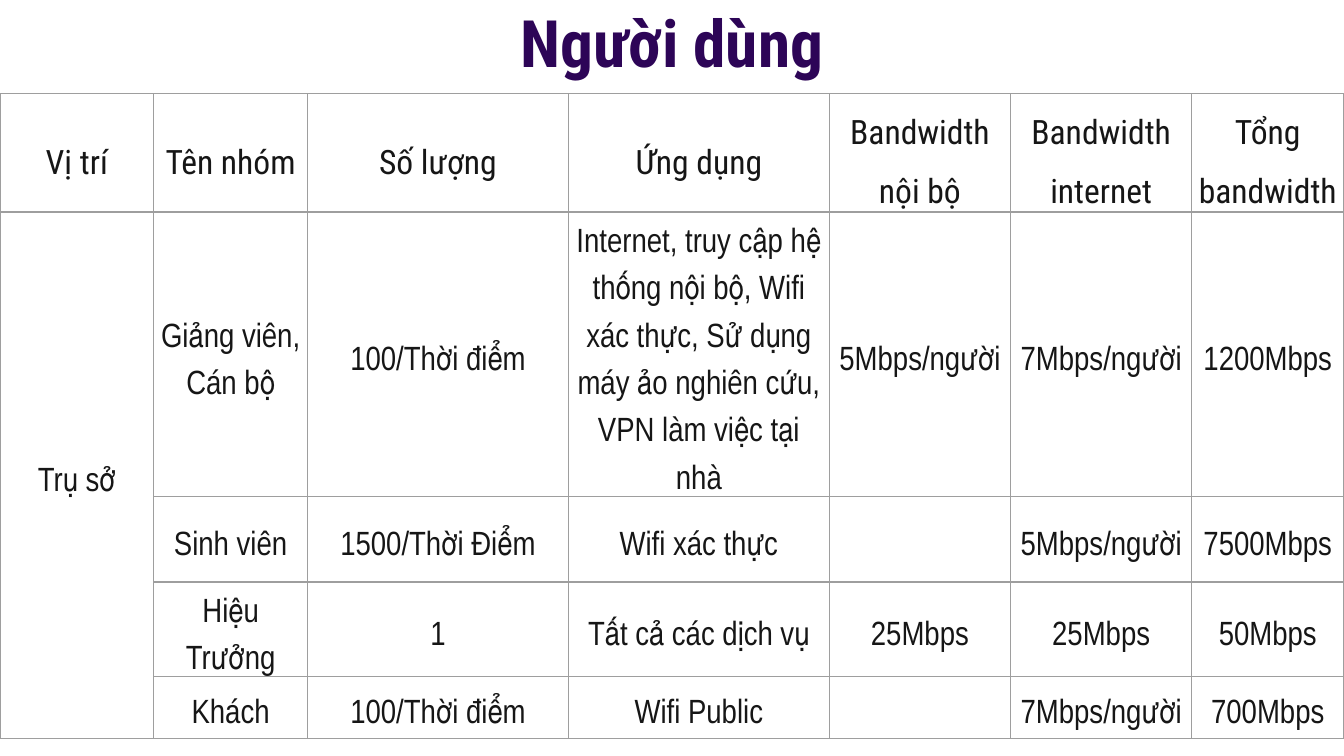
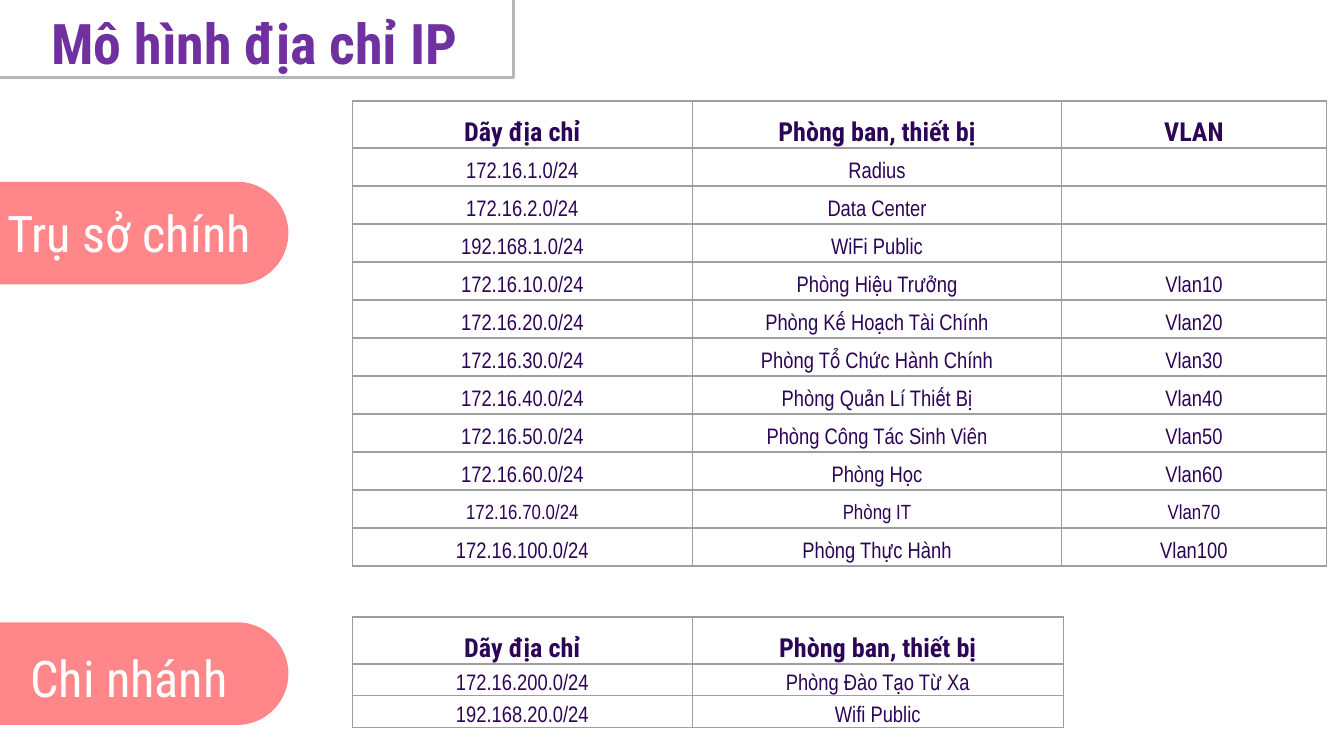
"""Build two slides: user groups with bandwidth, and the IP address plan."""
from pptx import Presentation
from pptx.dml.color import RGBColor
from pptx.enum.shapes import MSO_CONNECTOR, MSO_SHAPE
from pptx.enum.text import MSO_ANCHOR, MSO_AUTO_SIZE, PP_ALIGN
from pptx.oxml.xmlchemy import OxmlElement
from pptx.util import Pt

COLORS = {
    "ink": "161616",
    "navy": "2D0557",
    "purple": "7030A0",
    "coral": "FF878A",
    "white": "FFFFFF",
    "border": "9E9E9E",
    "rule": "B7B7B7",
}
HEAD, BODY = "Roboto Condensed", "Arial Narrow"


def put(tf, text, size=18, font=HEAD, color="ink", bold=False, spacing=1.0,
        anchor=MSO_ANCHOR.MIDDLE, inset=None):
    """Write one centred, formatted paragraph into a text frame."""
    tf.word_wrap = True
    tf.vertical_anchor = anchor
    if inset is not None:
        tf.auto_size = MSO_AUTO_SIZE.NONE
        tf.margin_left = tf.margin_right = tf.margin_top = tf.margin_bottom = Pt(inset)
    p = tf.paragraphs[0]
    p.alignment = PP_ALIGN.CENTER
    p.line_spacing = spacing
    p.space_before = Pt(0)
    if not text:
        p._p.get_or_add_endParaRPr().set("sz", str(size * 100))
        return
    r = p.add_run()
    r.text = text
    r.font.size, r.font.name, r.font.bold = Pt(size), font, bold
    r.font.color.rgb = RGBColor.from_string(COLORS[color])


def add_grid(s, left, top, widths, heights, rows, margin, head, body, sizes={}):
    """Add a bordered table; head and body are formats, sizes are row exceptions."""
    tbl = s.shapes.add_table(len(rows), len(widths), Pt(left), Pt(top),
                             Pt(sum(widths)), Pt(sum(heights))).table
    tbl.first_row = tbl.horz_banding = False
    for col, w in zip(tbl.columns, widths):
        col.width = Pt(w)
    for i, (row, h) in enumerate(zip(rows, heights)):
        tbl.rows[i].height = Pt(h)
        fmt = dict(body if i else head)
        fmt["size"] = sizes.get(i, fmt["size"])
        for j, text in enumerate(row):
            cell = tbl.cell(i, j)
            cell.margin_left = cell.margin_right = Pt(margin)
            cell.margin_top = cell.margin_bottom = Pt(0)
            cell.vertical_anchor = MSO_ANCHOR.MIDDLE
            cell.fill.background()
            put(cell.text_frame, text, spacing=1.5, **fmt)
            tcPr = cell._tc.get_or_add_tcPr()
            for k, side in enumerate(("a:lnL", "a:lnR", "a:lnT", "a:lnB")):
                ln, fill, clr = (OxmlElement(t) for t in (side, "a:solidFill", "a:srgbClr"))
                ln.set("w", str(Pt(0.75)))
                clr.set("val", COLORS["border"])
                fill.append(clr)
                ln.append(fill)
                tcPr.insert(k, ln)
    return tbl


prs = Presentation()
prs.slide_width, prs.slide_height = Pt(720), Pt(405)
titles = [
    ("Người dùng", 0, 12.24, 720, 38.16, 35, "navy", MSO_ANCHOR.BOTTOM),
    ("Mô hình địa chỉ IP", -86.4, -9.36, 445.68, 63.36, 30, "purple", MSO_ANCHOR.MIDDLE),
]
slides = []
for text, x, y, w, h, size, color, anchor in titles:
    s = prs.slides.add_slide(prs.slide_layouts[5])
    sp = s.shapes.title
    sp.left, sp.top, sp.width, sp.height = Pt(x), Pt(y), Pt(w), Pt(h)
    put(sp.text_frame, text, size=size, color=color, bold=True, anchor=anchor, inset=7.2)
    slides.append(s)
users, plan = slides

user_rows = [
    ["Vị trí", "Tên nhóm", "Số lượng", "Ứng dụng", "Bandwidth nội bộ",
     "Bandwidth internet", "Tổng bandwidth"],
    ["Trụ sở", "Giảng viên, Cán bộ", "100/Thời điểm",
     "Internet, truy cập hệ thống nội bộ, Wifi xác thực, Sử dụng máy ảo nghiên cứu, "
     "VPN làm việc tại nhà", "5Mbps/người", "7Mbps/người", "1200Mbps"],
    ["", "Sinh viên", "1500/Thời Điểm", "Wifi xác thực", "", "5Mbps/người", "7500Mbps"],
    ["", "Hiệu Trưởng", "1", "Tất cả các dịch vụ", "25Mbps", "25Mbps", "50Mbps"],
    ["", "Khách", "100/Thời điểm", "Wifi Public", "", "7Mbps/người", "700Mbps"],
]
tbl = add_grid(users, 0, 50.2, [82.4, 82.4, 139.8, 139.8, 97.1, 97.1, 81.4],
               [63.4, 152.4, 45.8, 50.6, 33], user_rows, 2.7,
               dict(size=18), dict(size=18, font=BODY))
tbl.cell(1, 0).merge(tbl.cell(4, 0))

for label, pill_top, text_top in [("Trụ sở chính", 97.4, 92.9), ("Chi nhánh", 333.4, 331.2)]:
    sp = plan.shapes.add_shape(MSO_SHAPE.ROUNDED_RECTANGLE, Pt(-95.5), Pt(pill_top),
                               Pt(250), Pt(55))
    sp.adjustments[0] = 0.5
    sp.shadow.inherit = False
    sp.fill.solid()
    sp.fill.fore_color.rgb = RGBColor.from_string(COLORS["coral"])
    sp.line.fill.background()
    tb = plan.shapes.add_textbox(Pt(-39.6), Pt(text_top), Pt(217.4), Pt(63.4))
    put(tb.text_frame, label, size=27, color="white", inset=7.2)

ip_head = ["Dãy địa chỉ", "Phòng ban, thiết bị", "VLAN"]
office_rows = [
    ip_head,
    ["172.16.1.0/24", "Radius", ""],
    ["172.16.2.0/24", "Data Center", ""],
    ["192.168.1.0/24", "WiFi Public", ""],
    ["172.16.10.0/24", "Phòng Hiệu Trưởng", "Vlan10"],
    ["172.16.20.0/24", "Phòng Kế Hoạch Tài Chính", "Vlan20"],
    ["172.16.30.0/24", "Phòng Tổ Chức Hành Chính", "Vlan30"],
    ["172.16.40.0/24", "Phòng Quản Lí Thiết Bị", "Vlan40"],
    ["172.16.50.0/24", "Phòng Công Tác Sinh Viên", "Vlan50"],
    ["172.16.60.0/24", "Phòng Học", "Vlan60"],
    ["172.16.70.0/24", "Phòng IT", "Vlan70"],
    ["172.16.100.0/24", "Phòng Thực Hành", "Vlan100"],
]
branch_rows = [
    ip_head[:2],
    ["172.16.200.0/24", "Phòng Đào Tạo Từ Xa"],
    ["192.168.20.0/24", "Wifi Public"],
]
head = dict(size=14, color="navy", bold=True)
body = dict(size=12, font=BODY, color="navy")
add_grid(plan, 188.8, 54.1, [182.1, 197.9, 141.7], [25.2] + [20.36] * 11,
         office_rows, 5.04, head, body, sizes={10: 11})
add_grid(plan, 188.8, 330.5, [182.1, 198.7], [25.2, 17, 17],
         branch_rows, 5.04, head, body)

corner_x, corner_y = 275.2, 41.6
for x, y in [(-34.6, corner_y), (corner_x, -25.2)]:
    ln = plan.shapes.add_connector(MSO_CONNECTOR.STRAIGHT, Pt(x), Pt(y),
                                   Pt(corner_x), Pt(corner_y))
    ln.line.color.rgb = RGBColor.from_string(COLORS["rule"])
    ln.line.width = Pt(1.5)
    ln._element.spPr.append(OxmlElement("a:effectLst"))

prs.save("out.pptx")
